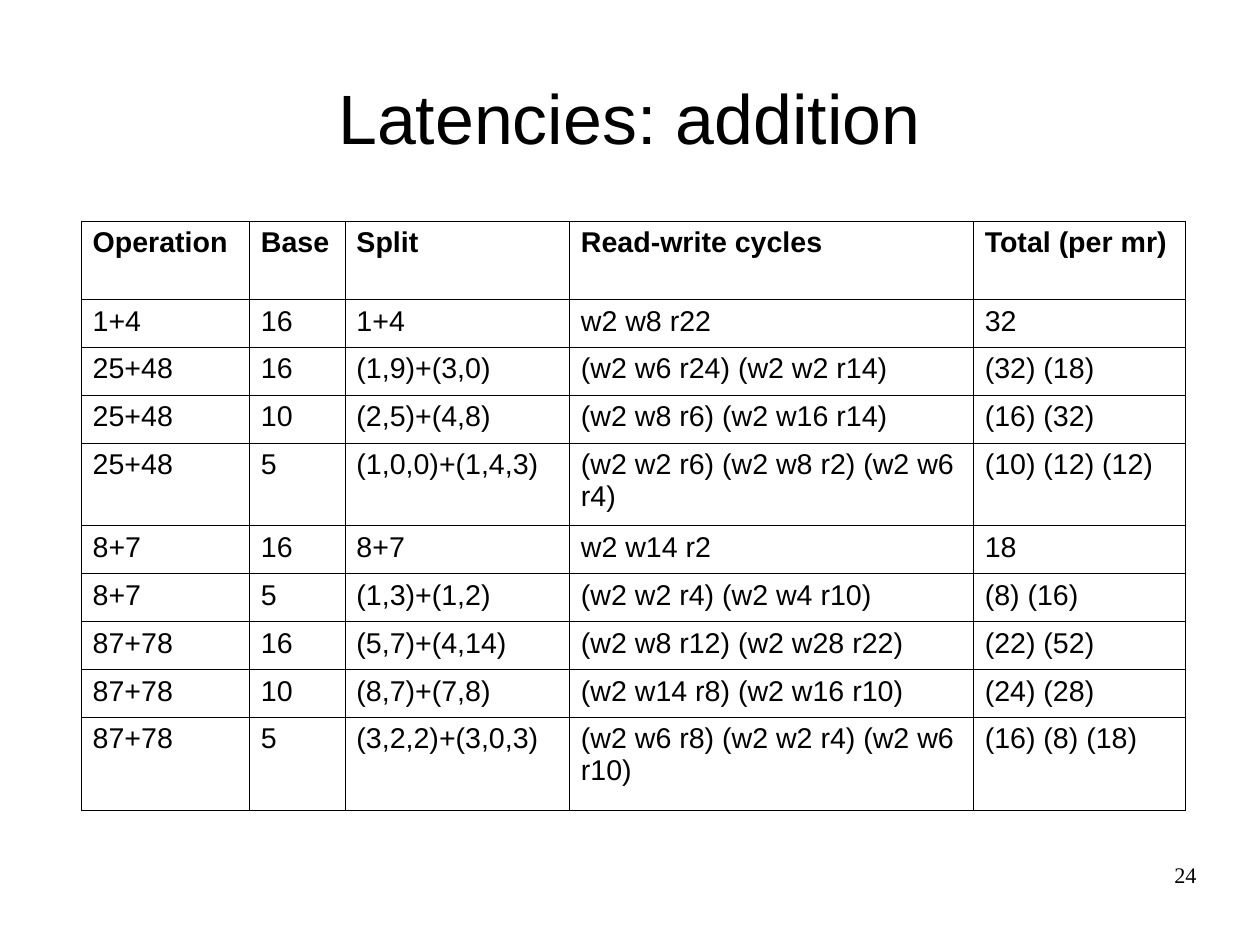
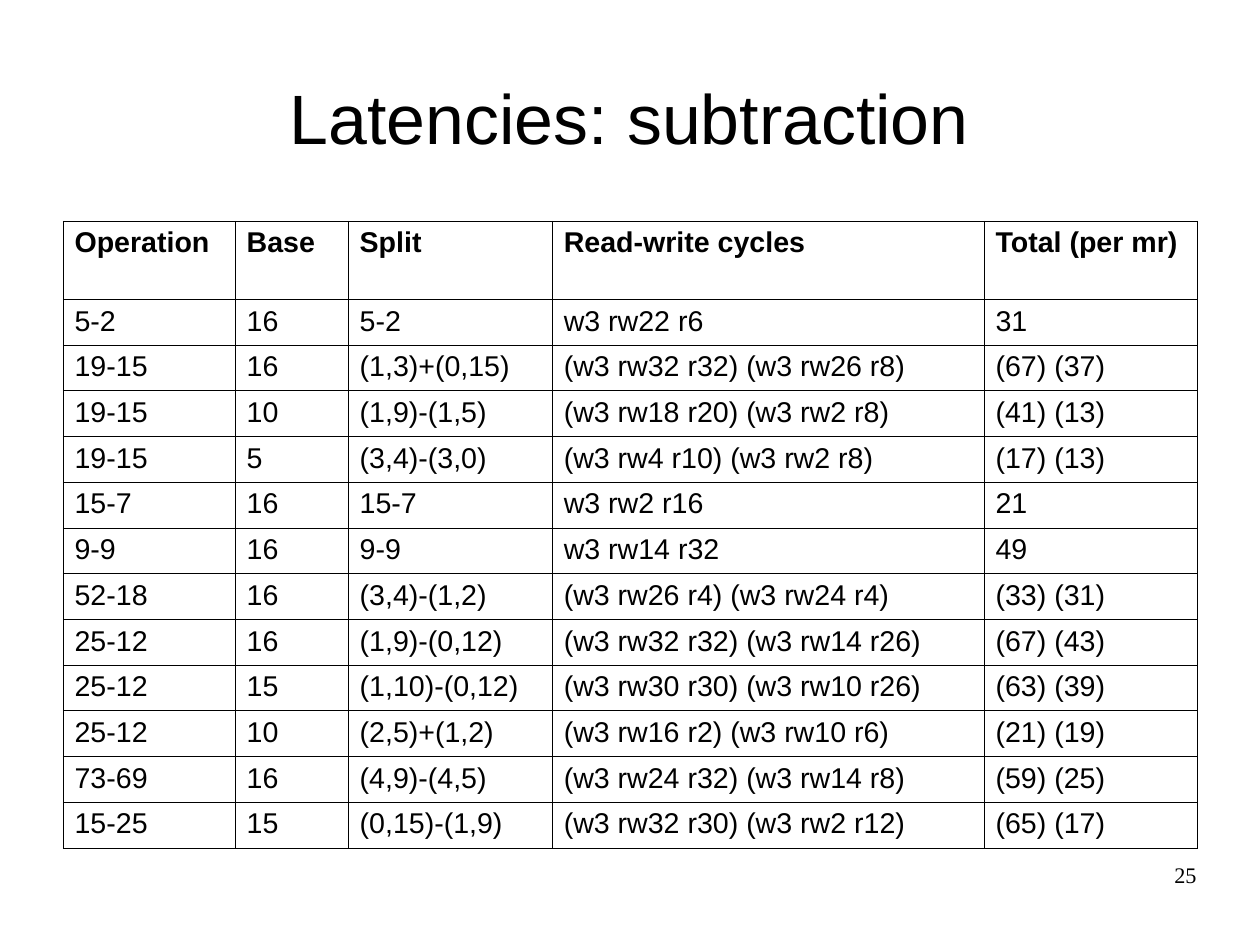
from dataclasses import dataclass

from lxml import etree
from pptx import Presentation
from pptx.dml.color import RGBColor
from pptx.enum import text as t
from pptx.oxml import ns
from pptx.util import Pt


@dataclass(frozen=True)
class Theme:
    ink: RGBColor = RGBColor(0, 0, 0)
    paper: RGBColor = RGBColor(255, 255, 255)
    font: str = "Arial"
    number_font: str = "Times New Roman"
    title_size: float = 44
    cell_size: float = 18
    number_size: float = 14
    border: float = 0.57


THEME = Theme()
SLIDE_SIZE = (793.7, 595.3)
TITLE_BOX = (39.6, 23.8, 714.2, 99.4)
NUMBER_BOX = (568.8, 542.6, 185, 41)
TABLE_TOP = 139.4
HEADER_HEIGHT = 49.2
HEADER = ("Operation", "Base", "Split", "Read-write cycles", "Total (per mr)")

ADDITION = [
    ("1+4", "16", "1+4", "w2 w8 r22", "32"),
    ("25+48", "16", "(1,9)+(3,0)", "(w2 w6 r24) (w2 w2 r14)", "(32) (18)"),
    ("25+48", "10", "(2,5)+(4,8)", "(w2 w8 r6) (w2 w16 r14)", "(16) (32)"),
    ("25+48", "5", "(1,0,0)+(1,4,3)", "(w2 w2 r6) (w2 w8 r2) (w2 w6 r4)", "(10) (12) (12)"),
    ("8+7", "16", "8+7", "w2 w14 r2", "18"),
    ("8+7", "5", "(1,3)+(1,2)", "(w2 w2 r4) (w2 w4 r10)", "(8) (16)"),
    ("87+78", "16", "(5,7)+(4,14)", "(w2 w8 r12) (w2 w28 r22)", "(22) (52)"),
    ("87+78", "10", "(8,7)+(7,8)", "(w2 w14 r8) (w2 w16 r10)", "(24) (28)"),
    ("87+78", "5", "(3,2,2)+(3,0,3)", "(w2 w6 r8) (w2 w2 r4) (w2 w6 r10)", "(16) (8) (18)"),
]
SUBTRACTION = [
    ("5-2", "16", "5-2", "w3 rw22 r6", "31"),
    ("19-15", "16", "(1,3)+(0,15)", "(w3 rw32 r32) (w3 rw26 r8)", "(67) (37)"),
    ("19-15", "10", "(1,9)-(1,5)", "(w3 rw18 r20) (w3 rw2 r8)", "(41) (13)"),
    ("19-15", "5", "(3,4)-(3,0)", "(w3 rw4 r10) (w3 rw2 r8)", "(17) (13)"),
    ("15-7", "16", "15-7", "w3 rw2 r16", "21"),
    ("9-9", "16", "9-9", "w3 rw14 r32", "49"),
    ("52-18", "16", "(3,4)-(1,2)", "(w3 rw26 r4) (w3 rw24 r4)", "(33) (31)"),
    ("25-12", "16", "(1,9)-(0,12)", "(w3 rw32 r32) (w3 rw14 r26)", "(67) (43)"),
    ("25-12", "15", "(1,10)-(0,12)", "(w3 rw30 r30) (w3 rw10 r26)", "(63) (39)"),
    ("25-12", "10", "(2,5)+(1,2)", "(w3 rw16 r2) (w3 rw10 r6)", "(21) (19)"),
    ("73-69", "16", "(4,9)-(4,5)", "(w3 rw24 r32) (w3 rw14 r8)", "(59) (25)"),
    ("15-25", "15", "(0,15)-(1,9)", "(w3 rw32 r30) (w3 rw2 r12)", "(65) (17)"),
]


def set_text(tf, value, size, font=THEME.font, bold=False, align=t.PP_ALIGN.LEFT):
    tf.text = value
    p = tf.paragraphs[0]
    p.alignment = align
    for r in p.runs:
        r.font.size = Pt(size)
        r.font.name = font
        r.font.bold = bold
        r.font.color.rgb = THEME.ink


def clear_margins(tf):
    tf.word_wrap = True
    tf.margin_left = tf.margin_top = tf.margin_right = tf.margin_bottom = 0


def add_title(s, box, value):
    sp = s.shapes.title
    sp.left, sp.top, sp.width, sp.height = map(Pt, box)
    tf = sp.text_frame
    clear_margins(tf)
    tf.auto_size = t.MSO_AUTO_SIZE.NONE
    tf.vertical_anchor = t.MSO_ANCHOR.MIDDLE
    set_text(tf, value, THEME.title_size, align=t.PP_ALIGN.CENTER)


def add_number(s, box, number):
    tf = s.shapes.add_textbox(*map(Pt, box)).text_frame
    clear_margins(tf)
    set_text(tf, str(number), THEME.number_size, THEME.number_font, align=t.PP_ALIGN.RIGHT)


def set_borders(cell):
    tc_pr = cell._tc.get_or_add_tcPr()
    for i, side in enumerate(("lnL", "lnR", "lnT", "lnB")):
        ln = etree.Element(ns.qn(f"a:{side}"), w=str(Pt(THEME.border)))
        fill = etree.SubElement(ln, ns.qn("a:solidFill"))
        etree.SubElement(fill, ns.qn("a:srgbClr"), val=str(THEME.ink))
        tc_pr.insert(i, ln)


def add_latency_table(s, left, top, widths, heights, rows):
    box = (left, top, sum(widths), sum(heights))
    table = s.shapes.add_table(len(heights), len(widths), *map(Pt, box)).table
    table.first_row = table.horz_banding = False
    for column, width in zip(table.columns, widths):
        column.width = Pt(width)
    for i, (height, values) in enumerate(zip(heights, [HEADER, *rows])):
        table.rows[i].height = Pt(height)
        for j, value in enumerate(values):
            cell = table.cell(i, j)
            cell.fill.solid()
            cell.fill.fore_color.rgb = THEME.paper
            set_text(cell.text_frame, value, THEME.cell_size, bold=i == 0)
            set_borders(cell)


def add_latency_slide(prs, title, number, left, widths, row_height, tall_rows, rows):
    s = prs.slides.add_slide(prs.slide_layouts[5])
    heights = [HEADER_HEIGHT] + [tall_rows.get(i, row_height) for i in range(1, len(rows) + 1)]
    add_title(s, TITLE_BOX, title)
    add_latency_table(s, left, TABLE_TOP, widths, heights, rows)
    add_number(s, NUMBER_BOX, number)


def main():
    prs = Presentation()
    prs.slide_width, prs.slide_height = map(Pt, SLIDE_SIZE)
    add_latency_slide(prs, "Latencies: addition", 24, 51.2, (106, 60.2, 141.4, 254.4, 133.4),
                      30.2, {4: 52, 9: 58.6}, ADDITION)
    add_latency_slide(prs, "Latencies: subtraction", 25, 39.8, (108.4, 71.2, 128.6, 272, 134.2),
                      28.8, {}, SUBTRACTION)
    prs.save("out.pptx")


if __name__ == "__main__":
    main()
